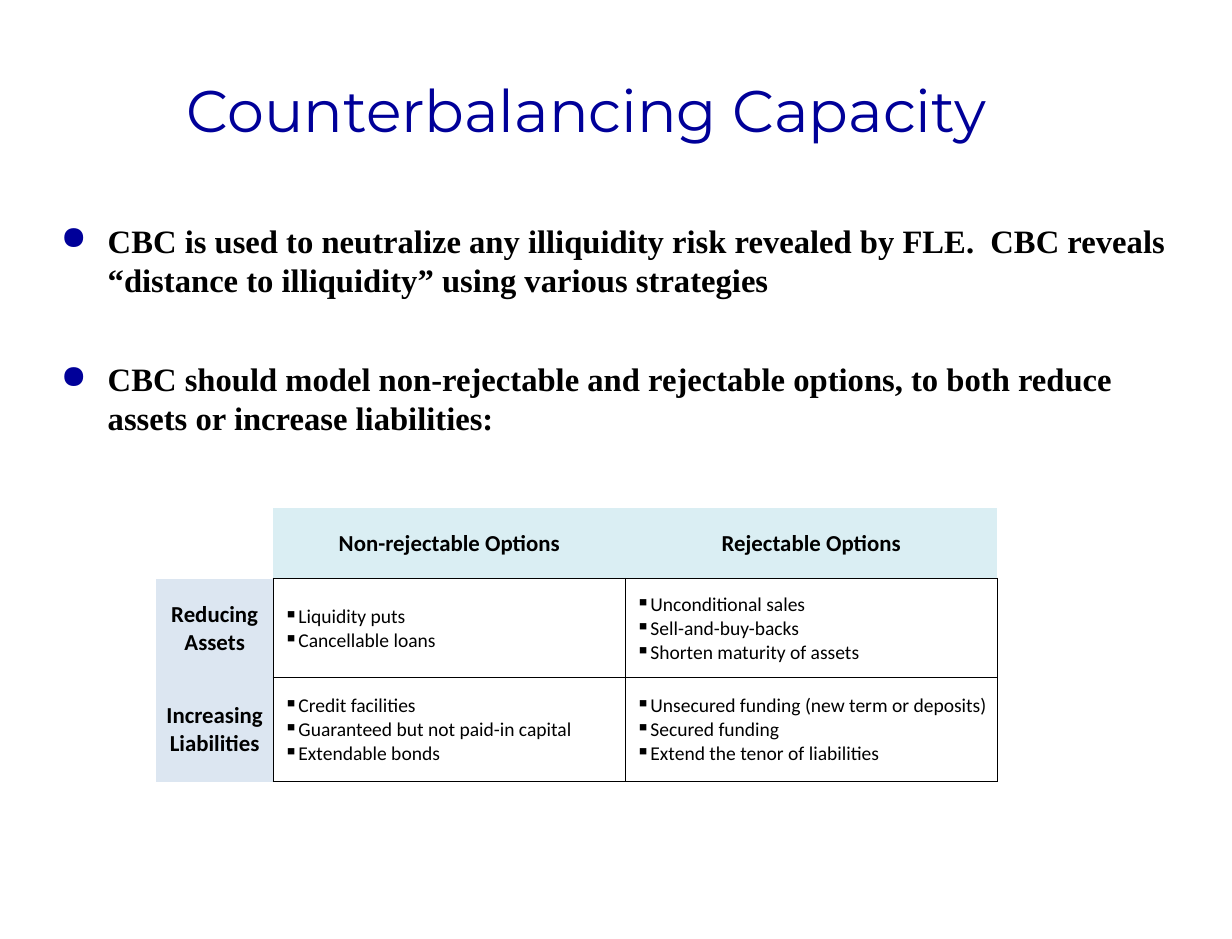
from lxml.etree import SubElement
from pptx import Presentation
from pptx.dml.color import RGBColor
from pptx.enum.text import MSO_ANCHOR, PP_ALIGN
from pptx.oxml.ns import qn
from pptx.util import Inches, Pt

HUES = {"navy": "000099", "black": "000000", "white": "FFFFFF",
        "head": "DAEEF3", "side": "DCE6F1"}
TITLE = "Counterbalancing Capacity"
POINTS = [
    "CBC is used to neutralize any illiquidity risk revealed by FLE.  "
    "CBC reveals “distance to illiquidity” using various strategies",
    "CBC should model non-rejectable and rejectable options, "
    "to both reduce assets or increase liabilities:",
]
GRID = [
    ["", "Non-rejectable Options", "Rejectable Options"],
    ["Reducing Assets",
     "Liquidity puts\nCancellable loans",
     "Unconditional sales\nSell-and-buy-backs\nShorten maturity of assets"],
    ["Increasing Liabilities",
     "Credit facilities\nGuaranteed but not paid-in capital\nExtendable bonds",
     "Unsecured funding (new term or deposits)\nSecured funding\n"
     "Extend the tenor of liabilities"],
]
COLS = [1, 3, 3.17]
ROWS = [0.6, 0.84, 0.89]


def color(name):
    """Return the named colour."""
    return RGBColor.from_string(HUES[name])


def style(para, font, size, hue="black", bold=False):
    """Format every run of a paragraph."""
    for run in para.runs:
        run.font.name, run.font.size, run.font.bold = font, Pt(size), bold
        run.font.color.rgb = color(hue)


def bullet(para, mark, left, hang, hue):
    """Give a paragraph a coloured, hanging bullet."""
    props = para._p.get_or_add_pPr()
    props.set("marL", str(Inches(left)))
    props.set("indent", str(-Inches(hang)))
    tint = SubElement(props, qn("a:buClr"))
    SubElement(tint, qn("a:srgbClr"), val=HUES[hue])
    SubElement(props, qn("a:buChar"), char=mark)


def border(cell, widths):
    """Draw the left, right, top and bottom edges, where zero means none."""
    props = cell._tc.get_or_add_tcPr()
    for side, width in zip("LRTB", widths):
        line = SubElement(props, qn("a:ln" + side), w=str(Pt(width)))
        if width:
            fill = SubElement(line, qn("a:solidFill"))
            SubElement(fill, qn("a:srgbClr"), val=HUES["black"])
        else:
            SubElement(line, qn("a:noFill"))


def edges(row, col):
    """Return the border widths of the cell at a grid position."""
    if row and col:
        return (1 if col == 1 else 0.5, 0.5, 1 if row == 1 else 0.5, 0.5)
    return (0, 1 if row else 0, 0, 1 if col else 0)


def heading(slide, box):
    """Place and format the title."""
    title = slide.shapes.title
    title.left, title.top, title.width, title.height = map(Inches, box)
    title.fill.solid()
    title.fill.fore_color.rgb = color("white")
    frame = title.text_frame
    frame.text = TITLE
    frame.vertical_anchor = MSO_ANCHOR.MIDDLE
    para = frame.paragraphs[0]
    para.alignment, para.line_spacing = PP_ALIGN.CENTER, 0.95
    style(para, "Montserrat", 36, "navy")


def points(slide, box):
    """Place the bulleted statements."""
    frame = slide.shapes.add_textbox(*map(Inches, box)).text_frame
    frame.word_wrap = True
    frame.text = "\n".join(POINTS)
    for para, gap in zip(frame.paragraphs, (4, 37)):
        para.space_before = Pt(gap)
        bullet(para, "●", 0.4, 0.4, "navy")
        style(para, "Times New Roman", 20, bold=True)


def entry(cell, row, col):
    """Fill and format one table cell."""
    label = not (row and col)
    border(cell, edges(row, col))
    if label and (row or col):
        cell.fill.solid()
        cell.fill.fore_color.rgb = color("side" if row else "head")
    else:
        cell.fill.background()
    cell.margin_left = cell.margin_right = cell.margin_top = Inches(0.01)
    cell.margin_bottom = 0
    cell.vertical_anchor = MSO_ANCHOR.MIDDLE
    cell.text_frame.text = GRID[row][col]
    for para in cell.text_frame.paragraphs:
        if label:
            para.alignment = PP_ALIGN.CENTER
        else:
            bullet(para, "▪", 0.18, 0.1, "black")
        style(para, "Calibri", 14 if label else 12, bold=label)


def options(slide, left, top):
    """Place the table of options."""
    box = map(Inches, (left, top, sum(COLS), sum(ROWS)))
    table = slide.shapes.add_table(len(ROWS), len(COLS), *box).table
    table.first_row = table.horz_banding = False
    for col, width in enumerate(COLS):
        table.columns[col].width = Inches(width)
    for row, height in enumerate(ROWS):
        table.rows[row].height = Inches(height)
        for col in range(len(COLS)):
            entry(table.cell(row, col), row, col)


def main():
    """Build and save the slide."""
    deck = Presentation()
    deck.slide_width, deck.slide_height = Inches(10.5), Inches(8)
    slide = deck.slides.add_slide(deck.slide_layouts[5])
    heading(slide, (0.75, 0.33, 8.5, 1.25))
    points(slide, (0.42, 1.83, 9.67, 2.25))
    options(slide, 1.33, 4.33)
    deck.save("out.pptx")


if __name__ == "__main__":
    main()
